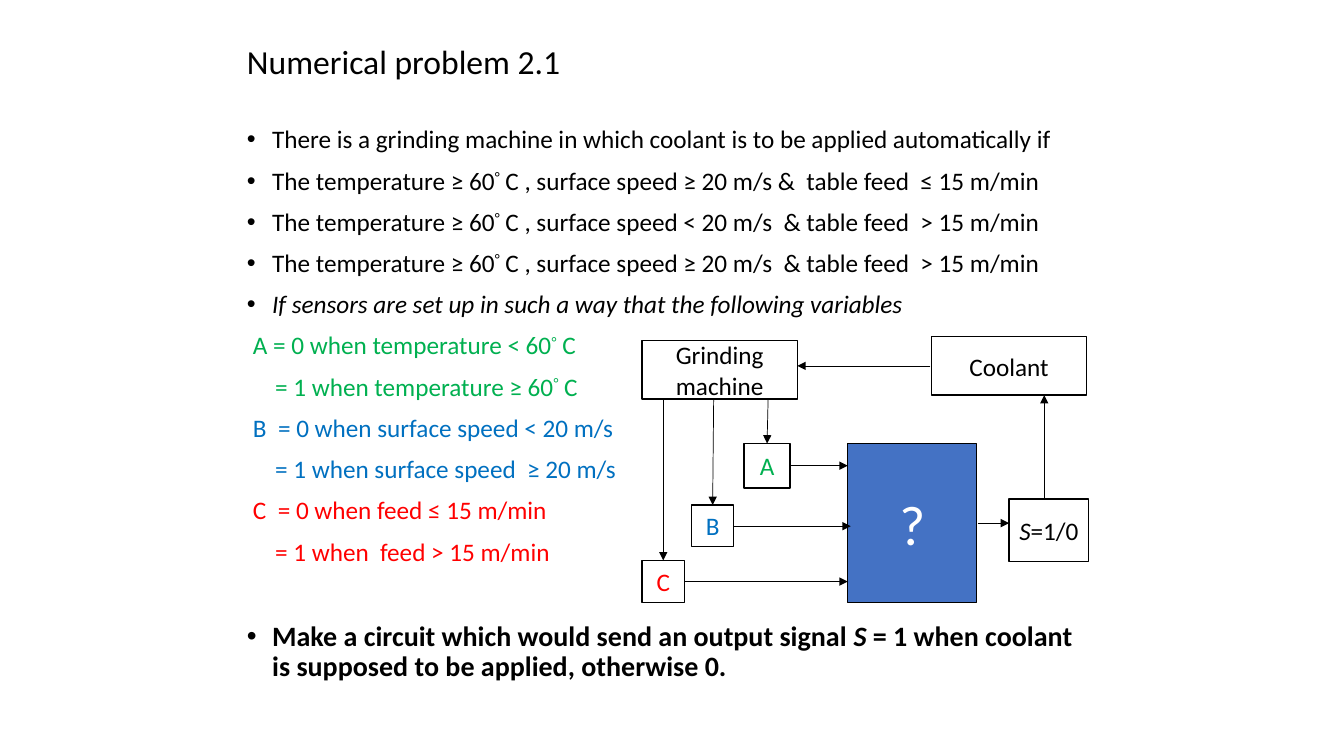
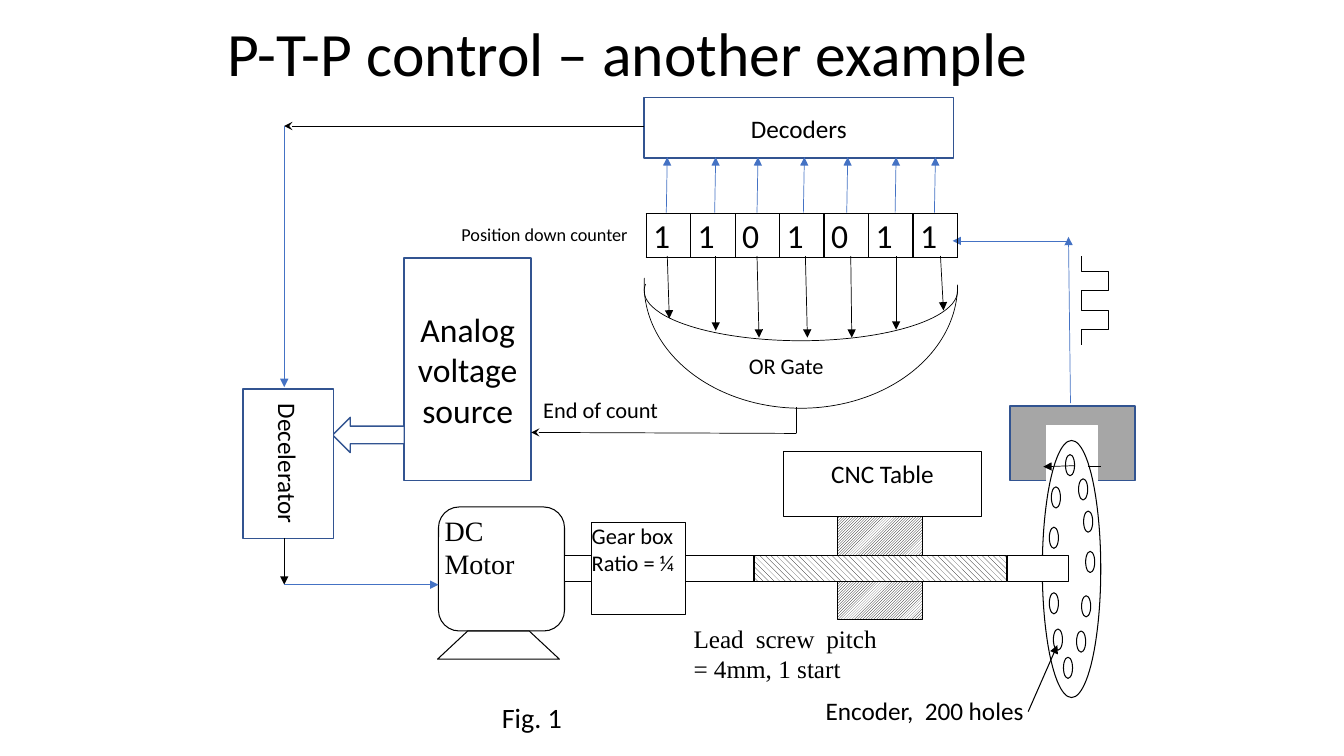
import itertools
from dataclasses import dataclass, field
from typing import Any, Iterable, Optional

import lxml.etree
import pptx
import pptx.dml.color
import pptx.enum.dml
import pptx.enum.shapes
import pptx.enum.text
import pptx.oxml.ns
import pptx.util

RGB = pptx.dml.color.RGBColor
SHAPE = pptx.enum.shapes.MSO_SHAPE
PATTERN = pptx.enum.dml.MSO_PATTERN
ALIGN = pptx.enum.text.PP_ALIGN
ANCHOR = pptx.enum.text.MSO_ANCHOR
qn = pptx.oxml.ns.qn

BLACK = RGB(0x00, 0x00, 0x00)
WHITE = RGB(0xFF, 0xFF, 0xFF)
BLUE = RGB(0x44, 0x72, 0xC4)
EDGE = RGB(0x32, 0x54, 0x91)
GRAY = RGB(0xA6, 0xA6, 0xA6)
GREEN = RGB(0x00, 0xB0, 0x50)
AZURE = RGB(0x00, 0x70, 0xC0)
RED = RGB(0xFF, 0x00, 0x00)
SERIF = "Times New Roman"

CELL = 0.1  # inches per column and row of the layout grid
COLUMNS, ROWS = 133.33, 75
CENTERED = dict(align=ALIGN.CENTER, anchor=ANCHOR.MIDDLE)
LOOSE = dict(spacing=1.07)
FLUSH = dict(inset=(0, 0))


@dataclass
class Box:
    """A shape in grid units; without a kind it is a text box."""
    col: float
    row: float
    wide: float
    high: float
    text: str = ""
    kind: Any = SHAPE.RECTANGLE
    fill: Any = None
    edge: Optional[RGB] = BLACK
    weight: float = 1
    turn: float = 0
    adjust: tuple = ()
    form: dict = field(default_factory=lambda: CENTERED)


@dataclass
class Link:
    col: float
    row: float
    end_col: float
    end_row: float
    color: RGB = BLACK
    arrow: Optional[str] = "triangle"
    weight: float = 0.5


@dataclass
class Item:
    text: str
    color: RGB = BLACK
    indent: float = 0.25
    bullet: bool = True
    size: float = 18
    bold: bool = False
    before: float = 10


def grid(*units: float) -> list:
    return [pptx.util.Inches(unit * CELL) for unit in units]


def write(para, text: str, *, size: float = 18, color: RGB = BLACK, font: str = "Calibri",
          bold: bool = False, align=ALIGN.LEFT, spacing: float = 1.0) -> None:
    """Write text where *stars* mark italics and degree signs are raised."""
    para.alignment = align
    para.line_spacing = spacing
    for index, chunk in enumerate(text.split("*")):
        for raised, letters in itertools.groupby(chunk, lambda letter: letter == "°"):
            span = para.add_run()
            span.text = "".join(letters)
            span.font.name = font
            span.font.size = pptx.util.Pt(size)
            span.font.bold = bold
            span.font.italic = index % 2 == 1
            span.font.color.rgb = color
            if raised:
                span._r.get_or_add_rPr().set("baseline", "30000")


def fill_frame(frame, text: str, *, anchor=ANCHOR.TOP, inset=(0.1, 0.05),
               vertical: bool = False, **form) -> None:
    frame.word_wrap = True
    frame.auto_size = pptx.enum.text.MSO_AUTO_SIZE.NONE
    frame.vertical_anchor = anchor
    frame.margin_left = frame.margin_right = pptx.util.Inches(inset[0])
    frame.margin_top = frame.margin_bottom = pptx.util.Inches(inset[1])
    if vertical:
        frame._txBody.bodyPr.set("vert", "vert")
    write(frame.paragraphs[0], text, **form)


def paint(shape, fill, edge: Optional[RGB], weight: float) -> None:
    shape.shadow.inherit = False
    if fill is None:
        shape.fill.background()
    elif isinstance(fill, RGB):
        shape.fill.solid()
        shape.fill.fore_color.rgb = fill
    else:
        shape.fill.patterned()
        shape.fill.pattern = fill
        shape.fill.fore_color.rgb = BLACK
        shape.fill.back_color.rgb = WHITE
    if edge is None:
        shape.line.fill.background()
    else:
        shape.line.color.rgb = edge
        shape.line.width = pptx.util.Pt(weight)


def draw_box(page, box: Box) -> None:
    place = grid(box.col, box.row, box.wide, box.high)
    if box.kind is None:
        shape = page.shapes.add_textbox(*place)
    else:
        shape = page.shapes.add_shape(box.kind, *place)
        paint(shape, box.fill, box.edge, box.weight)
        shape.rotation = box.turn
        for index, value in enumerate(box.adjust):
            shape.adjustments[index] = value
    if box.text:
        fill_frame(shape.text_frame, box.text, **box.form)


def draw_link(page, link: Link) -> None:
    ends = grid(link.col, link.row, link.end_col, link.end_row)
    line = page.shapes.add_connector(pptx.enum.shapes.MSO_CONNECTOR.STRAIGHT, *ends)
    line.line.color.rgb = link.color
    line.line.width = pptx.util.Pt(link.weight)
    if link.arrow:
        lxml.etree.SubElement(line.line._get_or_add_ln(), qn("a:tailEnd"), type=link.arrow)
    lxml.etree.SubElement(line._element.spPr, qn("a:effectLst"))


def draw_all(page, boxes: Iterable[Box], links: Iterable[Link]) -> None:
    for box in boxes:
        draw_box(page, box)
    for link in links:
        draw_link(page, link)


def draw_outline(page, points: list, *, closed: bool, fill, weight: float) -> None:
    corners = [tuple(grid(*point)) for point in points]
    builder = page.shapes.build_freeform(*corners[0])
    builder.add_line_segments(corners[1:], close=closed)
    paint(builder.convert_to_shape(), fill, BLACK, weight)


def move(shape, *place: float) -> None:
    shape.left, shape.top, shape.width, shape.height = grid(*place)


def add_page(deck, layout: int, title: str, place: tuple, size: float):
    page = deck.slides.add_slide(deck.slide_layouts[layout])
    move(page.shapes.title, *place)
    fill_frame(page.shapes.title.text_frame, title, size=size,
               anchor=ANCHOR.MIDDLE, spacing=0.9)
    return page


def add_list(body, items: list) -> None:
    frame = body.text_frame
    frame.auto_size = pptx.enum.text.MSO_AUTO_SIZE.NONE
    for index, item in enumerate(items):
        para = frame.add_paragraph() if index else frame.paragraphs[0]
        write(para, item.text, size=item.size, color=item.color, bold=item.bold, spacing=0.9)
        para.space_before = pptx.util.Pt(item.before)
        margin = pptx.util.Inches(item.indent)
        layout = para._p.get_or_add_pPr()
        layout.set("marL", str(margin))
        layout.set("indent", str(-margin if item.bullet else 0))
        if item.bullet:
            lxml.etree.SubElement(layout, qn("a:buFont"), typeface="Arial")
            lxml.etree.SubElement(layout, qn("a:buChar"), char="•")
        else:
            lxml.etree.SubElement(layout, qn("a:buNone"))


def add_counter(page, bits: str) -> None:
    table_frame = page.shapes.add_table(1, len(bits), *grid(64.1, 21.2, 30.9, 4.2))
    table = table_frame.table
    table.first_row = table.horz_banding = False
    for cell, bit in zip(table.rows[0].cells, bits):
        cell.margin_left = cell.margin_right = pptx.util.Inches(0.07)
        cell.margin_top = cell.margin_bottom = 0
        write(cell.text_frame.paragraphs[0], bit, size=24, **LOOSE)
        for side in ("lnL", "lnR", "lnT", "lnB"):
            border = lxml.etree.SubElement(cell._tc.get_or_add_tcPr(), qn("a:" + side), w="12700")
            solid = lxml.etree.SubElement(border, qn("a:solidFill"))
            lxml.etree.SubElement(solid, qn("a:srgbClr"), val=str(BLACK))
        cell.fill.background()


def build_problem(deck) -> None:
    page = add_page(deck, 1, "Numerical problem 2.1", (23.5, 1.8, 40.1, 9.1), 24)
    body = page.placeholders[1]
    move(body, 23.5, 12.1, 86.2, 55.5)
    items = [
        Item("There is a grinding machine in which coolant is to be applied automatically if"),
        Item("The temperature ≥ 60° C , surface speed ≥ 20 m/s &  table feed  ≤ 15 m/min"),
        Item("The temperature ≥ 60° C , surface speed < 20 m/s  & table feed  > 15 m/min"),
        Item("The temperature ≥ 60° C , surface speed ≥ 20 m/s  & table feed  > 15 m/min"),
        Item("*If sensors are set up in such a way that the following variables*"),
    ]
    variables = [
        (GREEN, "A = 0 when temperature < 60° C", "= 1 when temperature ≥ 60° C"),
        (AZURE, "B  = 0 when surface speed < 20 m/s", "= 1 when surface speed  ≥ 20 m/s"),
        (RED, "C  = 0 when feed ≤ 15 m/min", "= 1 when  feed > 15 m/min"),
    ]
    for color, low, high in variables:
        items += [Item(low, color, 0.06, False), Item(high, color, 0.28, False)]
    items.append(Item("Make a circuit which would send an output signal *S* = 1 when coolant "
                      "is supposed to be applied, otherwise 0.", size=20, bold=True, before=40))
    add_list(body, items)

    boxes = [
        Box(63.7, 33.8, 15.4, 5.8, "Grinding machine"),
        Box(92.4, 33.4, 15.4, 5.8, "Coolant"),
        Box(73.8, 44, 4.6, 4.4, "A", form=dict(CENTERED, color=GREEN)),
        Box(68.6, 50.1, 4.2, 4.1, "B", form=dict(CENTERED, color=AZURE)),
        Box(63.7, 55.6, 4.2, 4.2, "C", form=dict(CENTERED, color=RED)),
        Box(84.1, 44, 12.8, 15.8, "?", fill=BLUE, form=dict(CENTERED, size=40, color=WHITE)),
        Box(100.1, 49.5, 7.9, 6.2, "*S*=1/0"),
    ]
    links = [
        Link(76.2, 39.7, 76.1, 44), Link(70.8, 39.6, 70.7, 50.1), Link(65.8, 39.6, 65.8, 55.6),
        Link(78.5, 46.2, 84.1, 46.2), Link(72.8, 52.2, 84.4, 52.2), Link(67.9, 57.7, 84.1, 57.7),
        Link(97, 51.9, 100.1, 51.9), Link(103.6, 49.5, 103.6, 39.2), Link(92.3, 36.3, 79.1, 36.3),
    ]
    draw_all(page, boxes, links)


def build_control(deck) -> None:
    page = add_page(deck, 5, "P-T-P control – another example", (21.6, 1.6, 90, 8), 44)
    thin = dict(fill=WHITE, weight=0.75)
    framed = dict(fill=WHITE, edge=EDGE)
    holes = [(105.7, 45.1), (104.3, 48.3), (107.5, 50.7), (104.1, 52.3), (106.8, 62.6),
             (105.5, 65.2), (107.7, 54.7), (107.3, 59.1), (107, 47.5), (104.1, 58.8),
             (104.5, 62.4)]
    sensor_and_wheel = [
        Box(100.2, 40.3, 12.4, 7.4, fill=GRAY, edge=EDGE),
        Box(103.8, 42.2, 5.1, 5.5, fill=WHITE, edge=WHITE),
        Box(103.4, 43.7, 5.8, 25.5, kind=SHAPE.OVAL, **thin),
        *(Box(col, row, 0.9, 2.1, kind=SHAPE.OVAL, **thin) for col, row in holes),
    ]
    drive = [
        Box(43.5, 50.3, 12.5, 12.3, "DC Motor", SHAPE.FLOWCHART_ALTERNATE_PROCESS,
            form=dict(FLUSH, size=20, font=SERIF), **thin),
        Box(56, 55.1, 40.2, 2.6, **thin),
        Box(58.7, 51.8, 9.3, 9.2, "Gear box Ratio = ¼", SHAPE.FLOWCHART_PROCESS,
            form=dict(FLUSH, size=16), **thin),
        Box(83.1, 51.2, 8.4, 10.3, fill=PATTERN.LIGHT_UPWARD_DIAGONAL, weight=0.75),
        Box(74.8, 55.1, 25.1, 2.6, fill=PATTERN.WIDE_DOWNWARD_DIAGONAL, weight=0.75),
        Box(77.7, 44.8, 19.7, 6.4, "CNC Table", SHAPE.FLOWCHART_PROCESS,
            form=dict(LOOSE, align=ALIGN.CENTER), **thin),
        Box(99.9, 55.1, 6.1, 2.6, **thin),
    ]
    gate = [Box(col, row, wide, 31.1, kind=SHAPE.ARC, weight=0.5, turn=90, adjust=(162, 55.49))
            for col, row, wide in ((67.2, 12.7, 24.5), (74.5, 13.3, 9.9))]
    control = [
        Box(40.1, 25.6, 12.6, 22.1, "Analog voltage source", form=dict(CENTERED, size=24),
            **framed),
        Box(63.9, 9.7, 30.7, 6, "Decoders", **framed),
        Box(33, 41.4, 7.1, 3.5, kind=SHAPE.LEFT_ARROW, **framed),
        Box(24.1, 38.6, 9, 14.8, "Decelerator", form=dict(CENTERED, vertical=True), **framed),
    ]
    labels = [Box(*place, text, None, form=form) for place, text, form in (
        ((81.9, 68.8, 21.9, 5.5), "Encoder,  200 holes", dict(FLUSH, **LOOSE)),
        ((68.8, 61.8, 18.2, 7.5), "Lead screw pitch = 4mm, 1 start",
         dict(FLUSH, font=SERIF, align=ALIGN.JUSTIFY)),
        ((48.8, 68.8, 11.1, 6), "Fig. 1", dict(LOOSE, size=20)),
        ((44.8, 21.5, 21, 4.2), "Position down counter", dict(LOOSE, size=13)),
        ((52.9, 38.6, 17.2, 4), "End of count", dict(LOOSE, size=16)),
        ((73.3, 34.3, 13.3, 4.1), "OR Gate", dict(LOOSE, size=16)),
    )]
    to_decoders = [Link(col, 21.1, col + 0.1, 15.6, BLUE)
                   for col in (66.1, 70.9, 75.1, 79.7, 84, 88.8, 92.7)]
    to_gate = [Link(col, 25.4, col + drift, row) for col, drift, row in (
        (66.2, 0.2, 31.6), (71, 0, 32.8), (75.1, 0.2, 33.5), (79.9, 0.2, 33.5),
        (84.4, 0.1, 33.5), (88.9, 0, 32.7), (93.3, 0.3, 30.8))]
    signals = [
        Link(102, 70.6, 104.9, 64, weight=0.75),
        Link(106.6, 46.2, 103.5, 46.3), Link(109.2, 46.3, 107.9, 46.3, arrow=None),
        Link(79, 43, 52.7, 42.9, arrow="stealth"), Link(79, 43, 79, 40.4, arrow=None),
        Link(106.2, 40, 106, 23.5, BLUE), Link(106, 23.9, 94.5, 23.9, BLUE),
        Link(63.9, 12.5, 28.2, 12.5, arrow="stealth"), Link(28.2, 12.5, 28.2, 38.4, BLUE),
        Link(28.2, 53.4, 28.2, 58), Link(28.2, 58, 43.5, 58, BLUE),
    ]
    draw_all(page, sensor_and_wheel + drive + gate + control + labels,
             to_decoders + to_gate + signals)
    motor_foot = [(43.4, 65.4), (46.4, 62.6), (52.5, 62.6), (55.5, 65.4)]
    draw_outline(page, motor_foot, closed=True, fill=WHITE, weight=0.75)
    low, high = 107.3, 110
    rows = (25.4, 26.9, 28.8, 30.8, 32.7, 34.2)
    pulse = [(col, row) for step, (top, bottom) in enumerate(itertools.pairwise(rows))
             for col in [high if step % 2 else low] for row in (top, bottom)]
    draw_outline(page, pulse, closed=False, fill=None, weight=0.5)
    add_counter(page, "1101011")


def main() -> None:
    deck = pptx.Presentation()
    deck.slide_width, deck.slide_height = grid(COLUMNS, ROWS)
    build_problem(deck)
    build_control(deck)
    deck.save("out.pptx")


if __name__ == "__main__":
    main()
